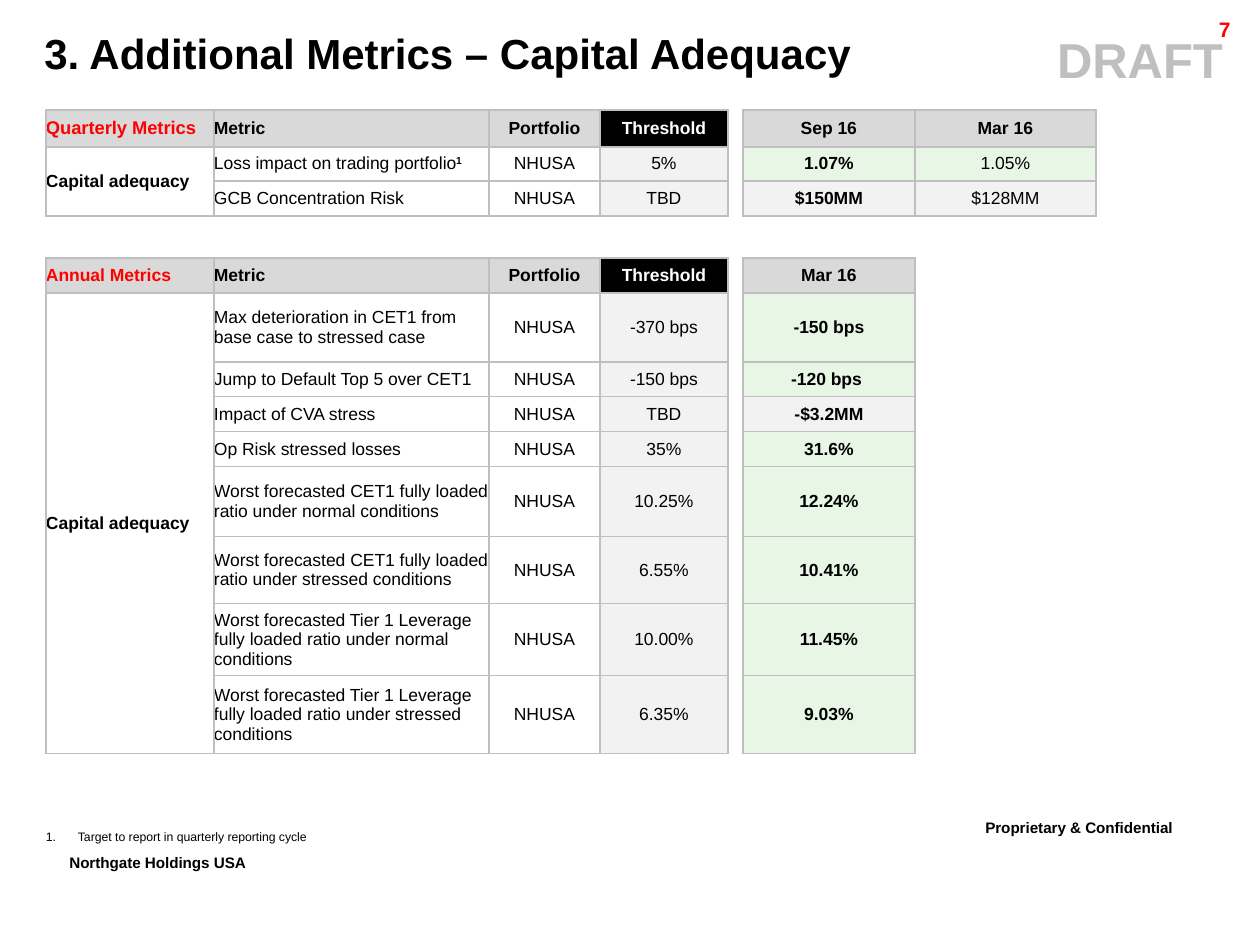
import pptx
import pptx.dml.color
import pptx.enum.text
import pptx.oxml.ns
import pptx.util
from lxml import etree

PX = 914400 / 126
ALIGN = pptx.enum.text.PP_ALIGN
MIDDLE = pptx.enum.text.MSO_ANCHOR.MIDDLE
BLACK, WHITE, RED = "000000", "FFFFFF", "FF0000"
HEADER, GREY, GREEN, LINE = "D9D9D9", "F2F2F2", "E8F6E6", "BFBFBF"

COLS = [168, 275, 111, 128, 15, 172, 181]
ROWS = [37, 34, 35, 42, 35, 69, 35, 35, 35, 70, 67, 72, 78]
SPACER_COL, SPACER_ROW = 4, 3
ENTITY = "NHUSA"

# Metric, threshold, values; a grey value has no threshold yet
QUARTERLY = [
    ("Loss impact on trading portfolio", "5%", ["1.07%", "1.05%"]),
    ("GCB Concentration Risk", "TBD", ["$150MM", "$128MM"]),
]
ANNUAL = [
    ("Max deterioration in CET1 from base case to stressed case", "-370 bps", ["-150 bps"]),
    ("Jump to Default Top 5 over CET1", "-150 bps", ["-120 bps "]),
    ("Impact of CVA stress", "TBD", ["-$3.2MM"]),
    ("Op Risk stressed losses", "35%", ["31.6%"]),
    ("Worst forecasted CET1 fully loaded ratio under normal conditions", "10.25%", ["12.24%"]),
    ("Worst forecasted CET1 fully loaded ratio under stressed conditions", "6.55%", ["10.41%"]),
    ("Worst forecasted Tier 1 Leverage fully loaded ratio under normal conditions",
     "10.00%", ["11.45%"]),
    ("Worst forecasted Tier 1 Leverage fully loaded ratio under stressed conditions",
     "6.35%", ["9.03%"]),
]


def px(n):
    return pptx.util.Emu(round(n * PX))


def rgb(value):
    return pptx.dml.color.RGBColor.from_string(value)


def add_text(p, text, size=10, color=BLACK, bold=False, align=None, raised=False):
    if align is not None:
        p.alignment = align
    r = p.add_run()
    r.text = text
    r.font.name = "Arial"
    r.font.size = pptx.util.Pt(size)
    r.font.bold = bold
    r.font.color.rgb = rgb(color)
    if raised:
        r._r.get_or_add_rPr().set("baseline", "30000")


def set_indent(p, left, first):
    pPr = p._p.get_or_add_pPr()
    pPr.set("marL", str(px(left)))
    pPr.set("indent", str(px(first)))
    return pPr


def text_box(s, x, y, w, h, text, wrap=True, inset=None, **fmt):
    sp = s.shapes.add_textbox(px(x), px(y), px(w), px(h))
    tf = sp.text_frame
    tf.word_wrap = wrap
    if inset is not None:
        tf.margin_left = tf.margin_right = tf.margin_top = tf.margin_bottom = px(inset)
    p = tf.paragraphs[0]
    add_text(p, text, **fmt)
    return p


def set_borders(cell, sides):
    """Draw the sides marked True and clear the others."""
    tcPr = cell._tc.get_or_add_tcPr()
    qn = pptx.oxml.ns.qn
    for side, shown in sides.items():
        ln = etree.SubElement(tcPr, qn("a:ln" + side), w="12700")
        if shown:
            fill = etree.SubElement(ln, qn("a:solidFill"))
            etree.SubElement(fill, qn("a:srgbClr"), val=LINE)
        else:
            etree.SubElement(ln, qn("a:noFill"))


def fill_cell(cell, text, fill=None, **fmt):
    p = cell.text_frame.paragraphs[0]
    p.space_before = p.space_after = pptx.util.Pt(2)
    add_text(p, text, **fmt)
    if fill:
        cell.fill.solid()
        cell.fill.fore_color.rgb = rgb(fill)


def fill_section(table, top, title, title_size, dates, metrics):
    center = ALIGN.CENTER
    # Header row
    fill_cell(table.cell(top, 0), title, HEADER, size=title_size, color=RED, bold=True)
    fill_cell(table.cell(top, 1), "Metric", HEADER, bold=True)
    fill_cell(table.cell(top, 2), "Portfolio", HEADER, bold=True, align=center)
    fill_cell(table.cell(top, 3), "Threshold", BLACK, color=WHITE, bold=True, align=center)
    for c, date in enumerate(dates, SPACER_COL + 1):
        fill_cell(table.cell(top, c), date, HEADER, bold=True, align=center)

    # Metric rows
    table.cell(top + 1, 0).merge(table.cell(top + len(metrics), 0))
    fill_cell(table.cell(top + 1, 0), "Capital adequacy", bold=True)
    for r, (metric, threshold, values) in enumerate(metrics, top + 1):
        fill_cell(table.cell(r, 1), metric)
        fill_cell(table.cell(r, 2), ENTITY, align=center)
        fill_cell(table.cell(r, 3), threshold, GREY, align=center)
        status = GREY if threshold == "TBD" else GREEN
        for i, value in enumerate(values):
            fill_cell(table.cell(r, SPACER_COL + 1 + i), value, status,
                      bold=i == 0, align=center)


def in_grid(r, c):
    if not (0 <= r < len(ROWS) and 0 <= c < len(COLS)):
        return False
    last_col = 6 if r < SPACER_ROW else 5
    return r != SPACER_ROW and c != SPACER_COL and c <= last_col


def metrics_table(s):
    frame = s.shapes.add_table(len(ROWS), len(COLS), px(46), px(110),
                               px(sum(COLS)), px(sum(ROWS)))
    table = frame.table
    table.first_row = table.horz_banding = False
    for column, width in zip(table.columns, COLS):
        column.width = px(width)
    for row, height in zip(table.rows, ROWS):
        row.height = px(height)

    # Each edge of a used cell gets a line, also from its blank neighbour
    for r in range(len(ROWS)):
        for c in range(len(COLS)):
            cell = table.cell(r, c)
            cell.margin_left = cell.margin_right = 0
            cell.margin_top = cell.margin_bottom = 0
            cell.vertical_anchor = MIDDLE
            near = {"L": (r, c - 1), "R": (r, c + 1), "T": (r - 1, c), "B": (r + 1, c)}
            set_borders(cell, {side: in_grid(r, c) or in_grid(*pos)
                               for side, pos in near.items()})
            cell.fill.background()
            end = cell.text_frame.paragraphs[0]._p.get_or_add_endParaRPr()
            end.set("sz", "1000")

    fill_section(table, 0, "Quarterly Metrics", 10.5, ["Sep 16", "Mar 16"], QUARTERLY)
    fill_section(table, SPACER_ROW + 1, "Annual Metrics", 10, ["Mar 16"], ANNUAL)
    # Footnote mark
    add_text(table.cell(1, 1).text_frame.paragraphs[0], "1", bold=True, raised=True)


def main():
    prs = pptx.Presentation()
    prs.slide_width, prs.slide_height = px(1260), px(945)
    s = prs.slides.add_slide(prs.slide_layouts[6])

    # Footer labels
    text_box(s, 973, 809, 275, 44, "Proprietary & Confidential",
             size=15, bold=True, raised=True)
    text_box(s, 57, 844, 241, 44, "Northgate Holdings USA", wrap=False,
             size=15, bold=True, raised=True)

    # Status label, page number and title
    p = text_box(s, 145, 23, 1108, 72, "DRAFT", size=28, color=LINE, bold=True,
                 align=ALIGN.CENTER)
    set_indent(p, 882, 0)
    p = text_box(s, 1123, 14, 120, 30, "7", size=12, color=RED, bold=True,
                 align=ALIGN.RIGHT)
    p.line_spacing = 0.86
    text_box(s, 32, 21, 1178, 63, "3. Additional Metrics – Capital Adequacy",
             size=24, bold=True)

    # Numbered footnote
    p = text_box(s, 46, 829, 656, 15, "Target to report in quarterly reporting cycle",
                 inset=0, size=7)
    pPr = set_indent(p, 32, -32)
    etree.SubElement(pPr, pptx.oxml.ns.qn("a:buAutoNum"), type="arabicPeriod")

    metrics_table(s)
    prs.save("out.pptx")


if __name__ == "__main__":
    main()
